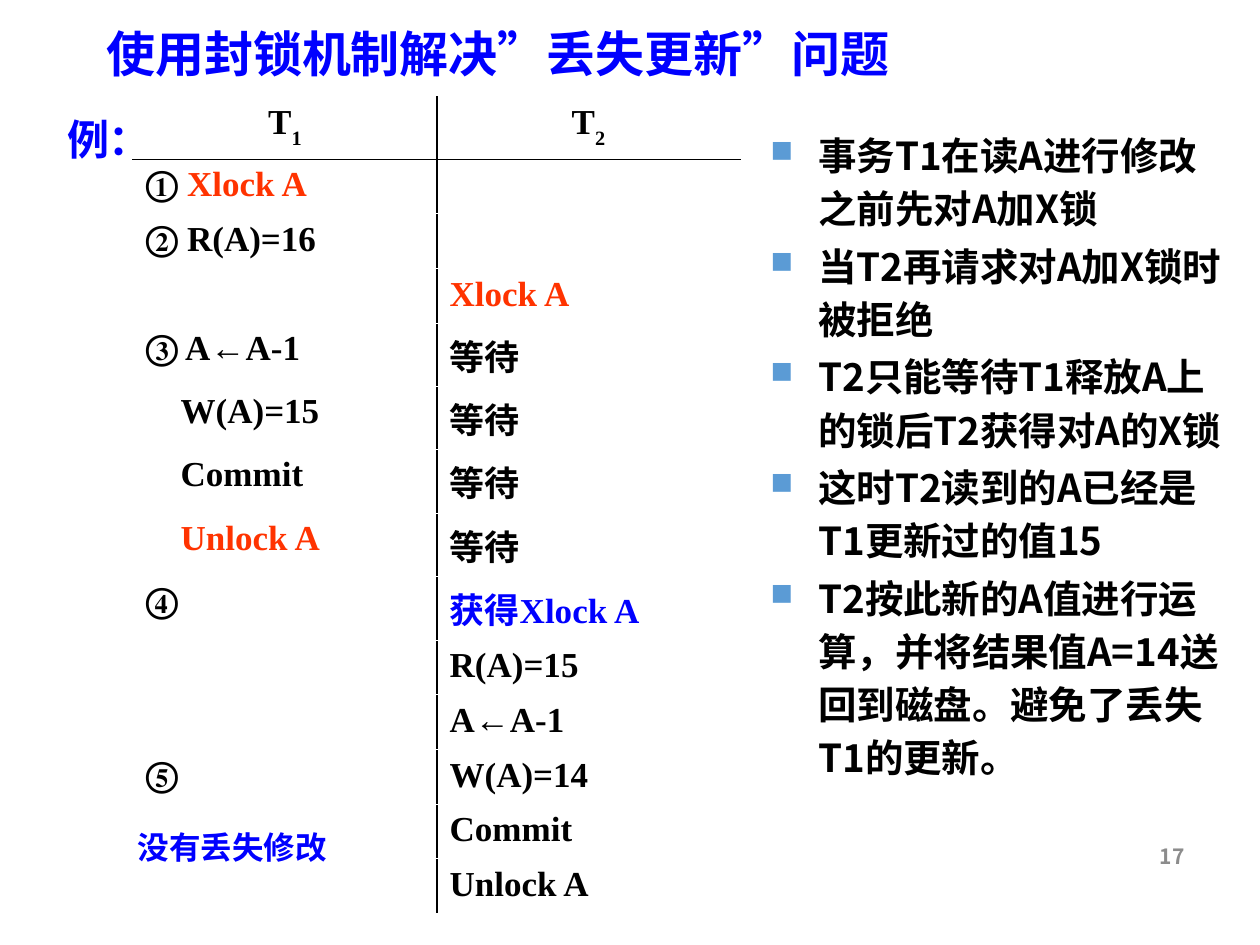
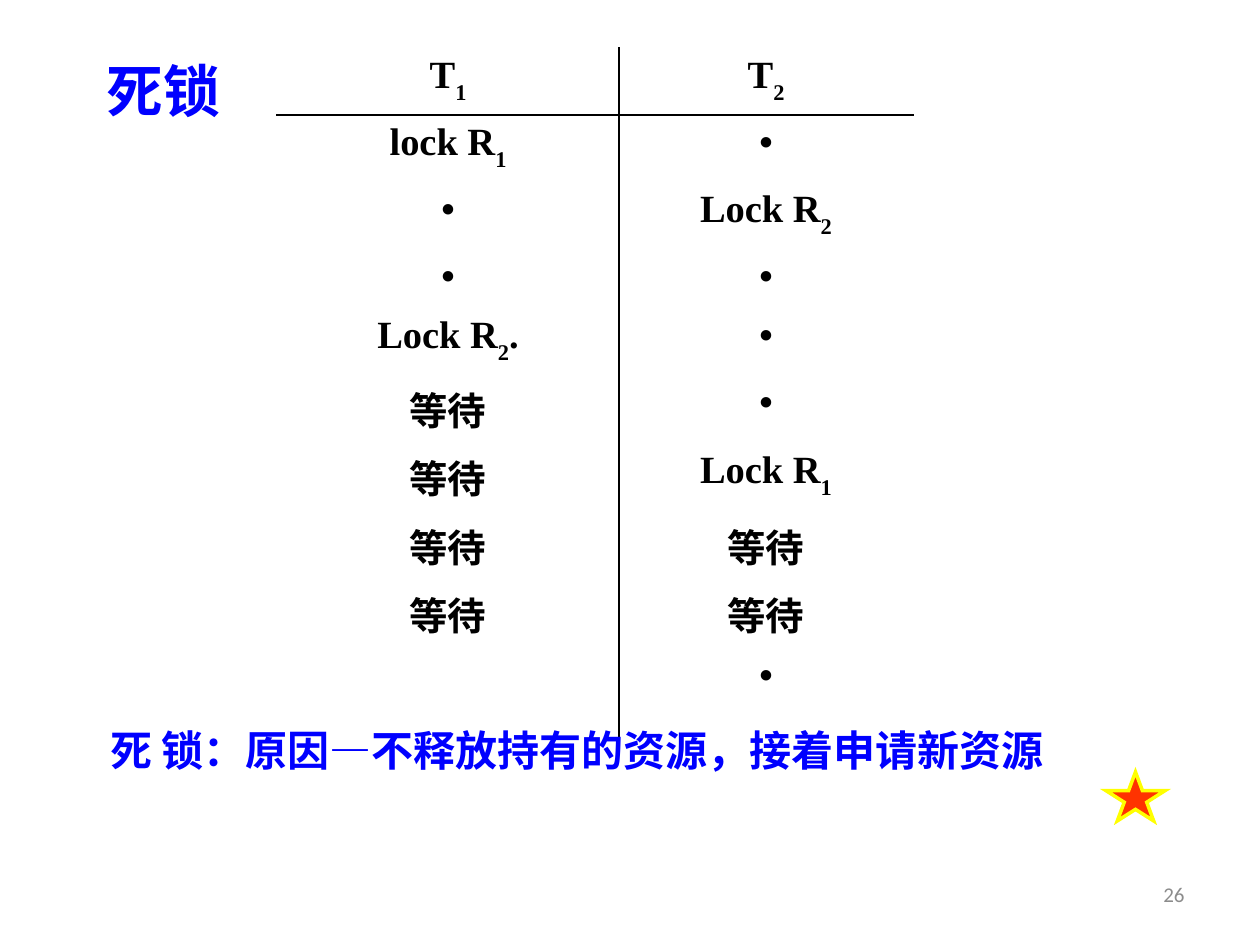
from lxml import etree
from pptx import Presentation
from pptx import util as u
from pptx.dml.color import RGBColor
from pptx.enum import shapes, text
from pptx.oxml import ns

EMU_PER_PX = 914400 / 126
COLORS = {"black": "000000", "white": "FFFFFF", "blue": "0000FF", "red": "FF3300",
          "grey": "8C8C8C", "bullet": "5B9BD5", "yellow": "FFFF00"}
SANS, SERIF = "Noto Sans CJK SC", "Times New Roman"
PLAIN_TABLE = "{2D5ABB26-0587-4C30-8999-92F81FD0307C}"
LEFT, CENTER, RIGHT = text.PP_ALIGN.LEFT, text.PP_ALIGN.CENTER, text.PP_ALIGN.RIGHT
MIDDLE = text.MSO_ANCHOR.MIDDLE
HANG = 48


def px(*lengths):
    return [u.Emu(round(n * EMU_PER_PX)) for n in lengths]


def write(frame, *paragraphs, size, font=SANS, color="black", bold=True, align=LEFT,
          anchor=None, wrap=True, margin=0, hang=0, bullet=None, line=None, before=0):
    """Each paragraph is a string or a list of strings and (string, colour); _ lowers a letter."""
    frame.word_wrap = wrap
    if anchor is not None:
        frame.vertical_anchor = anchor
    for i, content in enumerate(paragraphs):
        par = frame.paragraphs[0] if i == 0 else frame.add_paragraph()
        par.alignment = align
        if line:
            par.line_spacing = line
        if i:
            par.space_before = u.Pt(before)
        p_pr = par._p.get_or_add_pPr()
        p_pr.set("marL", str(px(margin)[0]))
        p_pr.set("indent", str(px(-hang)[0]))
        if bullet:
            bullet_color = etree.SubElement(p_pr, ns.qn("a:buClr"))
            etree.SubElement(bullet_color, ns.qn("a:srgbClr"), val=COLORS["bullet"])
            etree.SubElement(p_pr, ns.qn("a:buSzPct"), val="80000")
            etree.SubElement(p_pr, ns.qn("a:buChar"), char=bullet)
        for part in [content] if isinstance(content, str) else content:
            words, tint = (part, color) if isinstance(part, str) else part
            first, *lowered = words.split("_")
            pieces = [(first, False)]
            for piece in lowered:
                pieces += [(piece[0], True), (piece[1:], False)]
            for piece, is_low in pieces:
                if not piece:
                    continue
                run = par.add_run()
                run.text = piece
                run.font.size, run.font.bold, run.font.name = u.Pt(size), bold, font
                run.font.color.rgb = RGBColor.from_string(COLORS[tint])
                r_pr = run._r.get_or_add_rPr()
                etree.SubElement(r_pr, ns.qn("a:ea"), typeface=SANS)
                if is_low:
                    r_pr.set("baseline", "-30000")
        # The paragraph mark needs the same font, or it makes the line taller.
        mark = etree.SubElement(par._p, ns.qn("a:endParaRPr"),
                                sz=str(round(size * 100)), b=str(int(bold)))
        etree.SubElement(mark, ns.qn("a:latin"), typeface=font)
        etree.SubElement(mark, ns.qn("a:ea"), typeface=SANS)


deck = Presentation()
deck.slide_width, deck.slide_height = px(1260, 945)

schedules = [
    {"title": "使用封锁机制解决”丢失更新”问题", "title_top": 18, "title_size": 28,
     "page": "17", "page_top": 823, "page_font": SANS, "page_bold": True,
     "at": (133, 97), "columns": (304, 303), "size": 20, "align": LEFT,
     "row_lines": "white", "line_width": 0.75,
     "heights": [59] + [52] * 3 + [63, 63, 64, 63, 64] + [52, 52, 51, 51, 51],
     "rows": [("T_1", "T_2"),
              (["① ", ("Xlock A", "red")], ""),
              ("② R(A)=16", ""),
              ("", [("Xlock A", "red")]),
              ("③ A←A-1", "等待"),
              ("W(A)=15", "等待"),
              ("Commit", "等待"),
              ([("Unlock A", "red")], "等待"),
              ("④", [("获得Xlock A", "blue")]),
              ("", "R(A)=15"),
              ("", "A←A-1"),
              ("⑤", "W(A)=14"),
              ("", "Commit"),
              ("", "Unlock A")],
     "stepped_in": (5, 6, 7),
     "labels": [("例：", (54, 107, 110, 63), 24), ("没有丢失修改", (125, 822, 215, 50), 18)]},
    {"title": "死锁", "title_top": 55, "title_size": 32.4,
     "page": "26", "page_top": 861, "page_font": "Calibri", "page_bold": False,
     "at": (277, 48), "columns": (342, 294), "size": 22, "align": CENTER,
     "row_lines": None, "line_width": 1,
     "heights": [64, 63, 64, 55, 64, 68, 69, 68, 68, 102],
     "rows": [("T_1", "T_2"), ("lock R_1", "•"), ("•", "Lock R_2"), ("•", "•"),
              ("Lock R_2.", "•"), ("等待", "•"), ("等待", "Lock R_1"),
              ("等待", "等待"), ("等待", "等待"), ("", "•")],
     "stepped_in": (),
     "labels": [("死 锁：原因—不释放持有的资源，接着申请新资源", (90, 718, 974, 63), 24)]},
]

slides = []
for plan in schedules:
    slide = deck.slides.add_slide(deck.slide_layouts[6])
    slides.append(slide)
    page = slide.shapes.add_textbox(*px(903, plan["page_top"], 294, 66))
    write(page.text_frame, plan["page"], size=12, font=plan["page_font"], color="grey",
          bold=plan["page_bold"], align=RIGHT, anchor=MIDDLE)
    title = slide.shapes.add_textbox(*px(94, plan["title_top"], 1018, 78))
    write(title.text_frame, plan["title"], size=plan["title_size"], color="blue",
          anchor=MIDDLE, line=0.9)

    rows, heights, columns = plan["rows"], plan["heights"], plan["columns"]
    schedule = slide.shapes.add_table(
        len(rows), 2, *px(*plan["at"], sum(columns), sum(heights))).table
    schedule.first_row = schedule.horz_banding = False
    schedule._tbl.tblPr.find(ns.qn("a:tableStyleId")).text = PLAIN_TABLE
    for column, width in zip(schedule.columns, px(*columns)):
        column.width = width
    for r, (row, height) in enumerate(zip(rows, px(*heights))):
        schedule.rows[r].height = height
        for c, content in enumerate(row):
            cell = schedule.cell(r, c)
            stepped = c == 0 and r in plan["stepped_in"]
            write(cell.text_frame, content, size=plan["size"], font=SERIF,
                  align=CENTER if r == 0 else plan["align"],
                  margin=35 if stepped else HANG, hang=0 if stepped else HANG)
            between = plan["row_lines"]
            borders = {
                "lnL": "black" if c == 1 else "white",
                "lnR": "black" if c == 0 else "white",
                "lnT": "white" if r == 0 else "black" if r == 1 else between,
                "lnB": "black" if r == 0 else "white" if r == len(rows) - 1 else between,
            }
            for side, tint in borders.items():
                border = etree.SubElement(cell._tc.get_or_add_tcPr(), ns.qn("a:" + side),
                                          w=str(u.Pt(plan["line_width"])))
                if tint:
                    fill = etree.SubElement(border, ns.qn("a:solidFill"))
                    etree.SubElement(fill, ns.qn("a:srgbClr"), val=COLORS[tint])
                else:
                    etree.SubElement(border, ns.qn("a:noFill"))
            cell.fill.background()

    for words, place, size in plan["labels"]:
        label = slide.shapes.add_textbox(*px(*place))
        write(label.text_frame, words, size=size, color="blue", align=CENTER, wrap=False)

locking, deadlock = slides
explanation = locking.shapes.add_textbox(*px(758, 119, 479, 728))
write(explanation.text_frame,
      "事务T1在读A进行修改之前先对A加X锁",
      "当T2再请求对A加X锁时被拒绝",
      "T2只能等待T1释放A上的锁后T2获得对A的X锁",
      "这时T2读到的A已经是T1更新过的值15",
      "T2按此新的A值进行运算，并将结果值A=14送回到磁盘。避免了丢失T1的更新。",
      size=22, margin=HANG, hang=HANG, bullet="■", line=1.15, before=2.6)

star = deadlock.shapes.add_shape(shapes.MSO_SHAPE.STAR_5_POINT, *px(1106, 772, 59, 49))
star.shadow.inherit = False
star.fill.solid()
star.fill.fore_color.rgb = RGBColor.from_string(COLORS["red"])
star.line.color.rgb = RGBColor.from_string(COLORS["yellow"])
star.line.width = u.Pt(2)
etree.SubElement(star.line._get_or_add_ln(), ns.qn("a:miter"), lim="800000")

deck.save("out.pptx")
